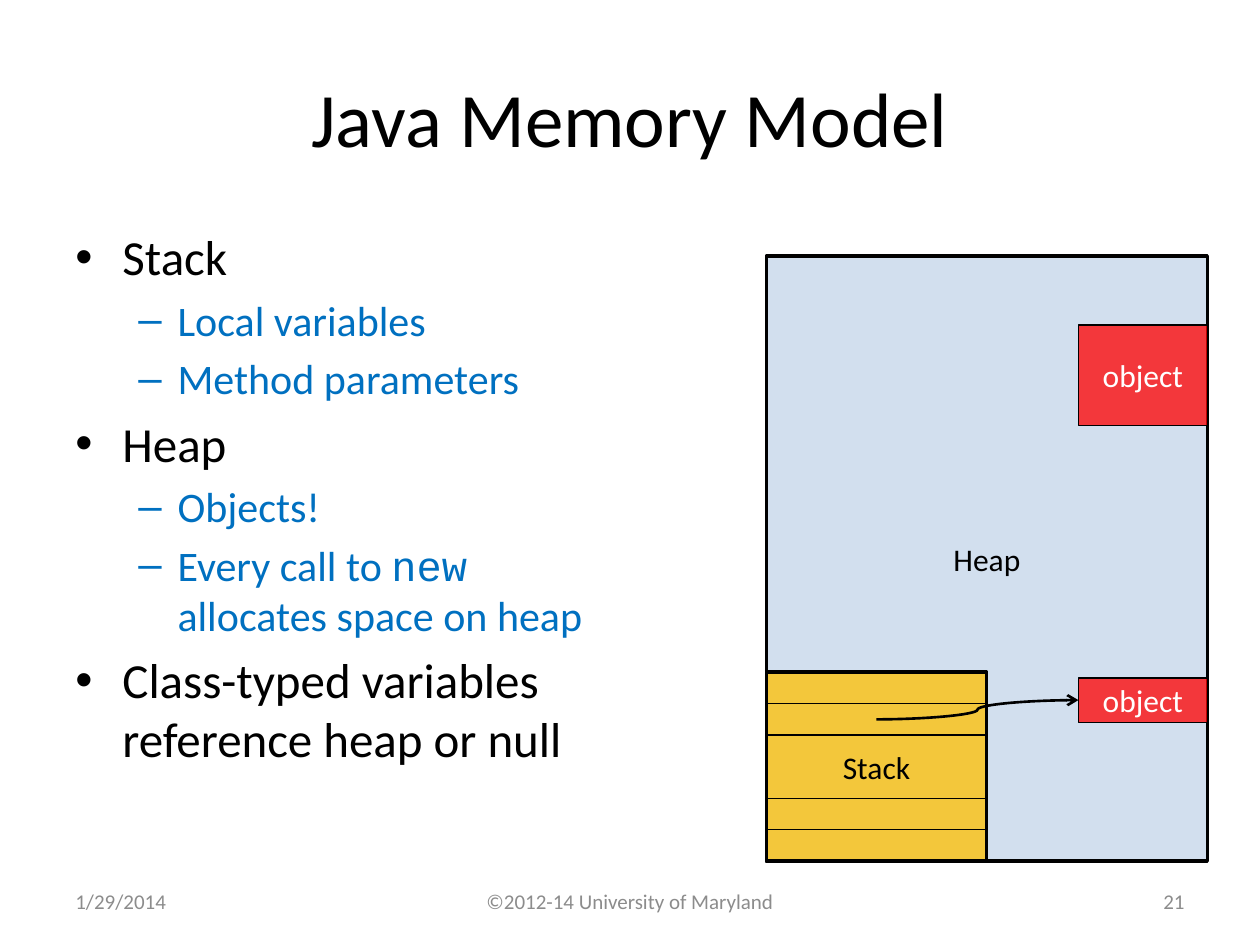
from lxml import etree
from pptx import Presentation
from pptx.dml.color import RGBColor as RGB
from pptx.enum.shapes import MSO_CONNECTOR as CONN, MSO_SHAPE as SHAPE
from pptx.enum.text import MSO_ANCHOR as ANCHOR, PP_ALIGN as ALIGN
from pptx.oxml.ns import qn
from pptx.util import Cm, Pt


class Theme:
    font, code_font = "Calibri", "Courier New"
    black, white, grey = RGB(0, 0, 0), RGB(255, 255, 255), RGB(0x8C, 0x8C, 0x8C)
    detail = RGB(0x00, 0x70, 0xC0)
    heap, stack, obj = RGB(0x4F, 0x81, 0xBD), RGB(0xFF, 0xC0, 0x00), RGB(0xFF, 0, 0)
    title_pt, topic_pt, detail_pt, label_pt, footer_pt = 44, 28, 24, 18, 12
    thick, medium, thin = Pt(2), Pt(1.5), Pt(0.75)


def write(sp, text, size, color, align, anchor=ANCHOR.MIDDLE):
    tf = sp.text_frame
    tf.word_wrap = True
    tf.vertical_anchor = anchor
    tf.text = text
    p = tf.paragraphs[0]
    p.alignment = align
    f = p.runs[0].font
    f.name, f.size, f.color.rgb = Theme.font, Pt(size), color


def add_box(x, y, w, h, fill, alpha, line_width, label, color):
    sp = s.shapes.add_shape(SHAPE.RECTANGLE, Cm(x), Cm(y), Cm(w), Cm(h))
    sp.shadow.inherit = False
    sp.fill.solid()
    sp.fill.fore_color.rgb = fill
    clr = sp._element.spPr.find(qn("a:solidFill"))[0]
    etree.SubElement(clr, qn("a:alpha")).set("val", str(alpha * 1000))
    sp.line.color.rgb = Theme.black
    sp.line.width = line_width
    write(sp, label, Theme.label_pt, color, ALIGN.CENTER)


prs = Presentation()
prs.slide_width, prs.slide_height = Cm(25.4), Cm(19.05)
s = prs.slides.add_slide(prs.slide_layouts[6])

# Title
title = s.shapes.add_textbox(Cm(1.27), Cm(0.76), Cm(22.86), Cm(3.18))
write(title, "Java Memory Model", Theme.title_pt, Theme.black, ALIGN.CENTER)

# Bulleted outline: level and text, with code between backticks
outline = [
    (0, "Stack"),
    (1, "Local variables"),
    (1, "Method parameters"),
    (0, "Heap"),
    (1, "Objects!"),
    (1, "Every call to `new` allocates space on heap"),
    (0, "Class-typed variables reference heap or null"),
]
levels = [  # bullet, left margin, hanging indent, size, colour
    ("•", Cm(0.95), Cm(0.95), Theme.topic_pt, Theme.black),
    ("–", Cm(2.06), Cm(0.79), Theme.detail_pt, Theme.detail),
]
tf = s.shapes.add_textbox(Cm(1.27), Cm(4.45), Cm(11.23), Cm(12.57)).text_frame
tf.word_wrap = True
for i, (level, text) in enumerate(outline):
    bullet, margin, hang, size, color = levels[level]
    p = tf.add_paragraph() if i else tf.paragraphs[0]
    p.level = level
    p.space_before = Pt(size * 0.2)
    pPr = p._p.get_or_add_pPr()
    pPr.set("marL", str(margin))
    pPr.set("indent", str(-hang))
    etree.SubElement(pPr, qn("a:buFont")).set("typeface", "Arial")
    etree.SubElement(pPr, qn("a:buChar")).set("char", bullet)
    for j, part in enumerate(text.split("`")):
        r = p.add_run()
        r.text = part
        r.font.name = Theme.code_font if j % 2 else Theme.font
        r.font.size, r.font.color.rgb = Pt(size), color

# Heap, with the stack in its lower left corner
left, right, bottom = 15.45, 24.34, 17.36
heap_h, stack_w, stack_h = 12.2, 4.44, 3.81
stack_top, row = bottom - stack_h, stack_h / 6
add_box(left, bottom - heap_h, right - left, heap_h,
        Theme.heap, 25, Theme.thick, "Heap", Theme.black)
add_box(left, stack_top, stack_w, stack_h,
        Theme.stack, 75, Theme.thick, "Stack", Theme.black)

# Objects along the right edge of the heap
obj_w, obj_top, obj_h = 2.6, 13.67, 0.89
for y, h in [(obj_top, obj_h), (6.55, 2.03)]:
    add_box(right - obj_w, y, obj_w, h, Theme.obj, 75, Theme.thin, "object", Theme.white)

# Stack frame dividers, and the reference from a frame to an object
links = [(CONN.STRAIGHT, left, stack_top + n * row, left + stack_w, stack_top + n * row, Theme.thin)
         for n in (1, 2, 4, 5)]
links.append((CONN.CURVE, left + stack_w / 2, stack_top + 1.5 * row,
              right - obj_w, obj_top + obj_h / 2, Theme.medium))
for kind, x1, y1, x2, y2, width in links:
    cn = s.shapes.add_connector(kind, Cm(x1), Cm(y1), Cm(x2), Cm(y2))
    cn.line.color.rgb = Theme.black
    cn.line.width = width
    if kind == CONN.CURVE:
        etree.SubElement(cn.line._get_or_add_ln(), qn("a:tailEnd")).set("type", "arrow")
    etree.SubElement(cn._element.spPr, qn("a:effectLst"))

# Footer
for x, w, text, align in [
    (1.27, 5.93, "1/29/2014", ALIGN.LEFT),
    (8.68, 8.04, "©2012-14 University of Maryland", ALIGN.CENTER),
    (18.2, 5.93, "21", ALIGN.RIGHT),
]:
    sp = s.shapes.add_textbox(Cm(x), Cm(17.66), Cm(w), Cm(1.01))
    write(sp, text, Theme.footer_pt, Theme.grey, align)

prs.save("out.pptx")
